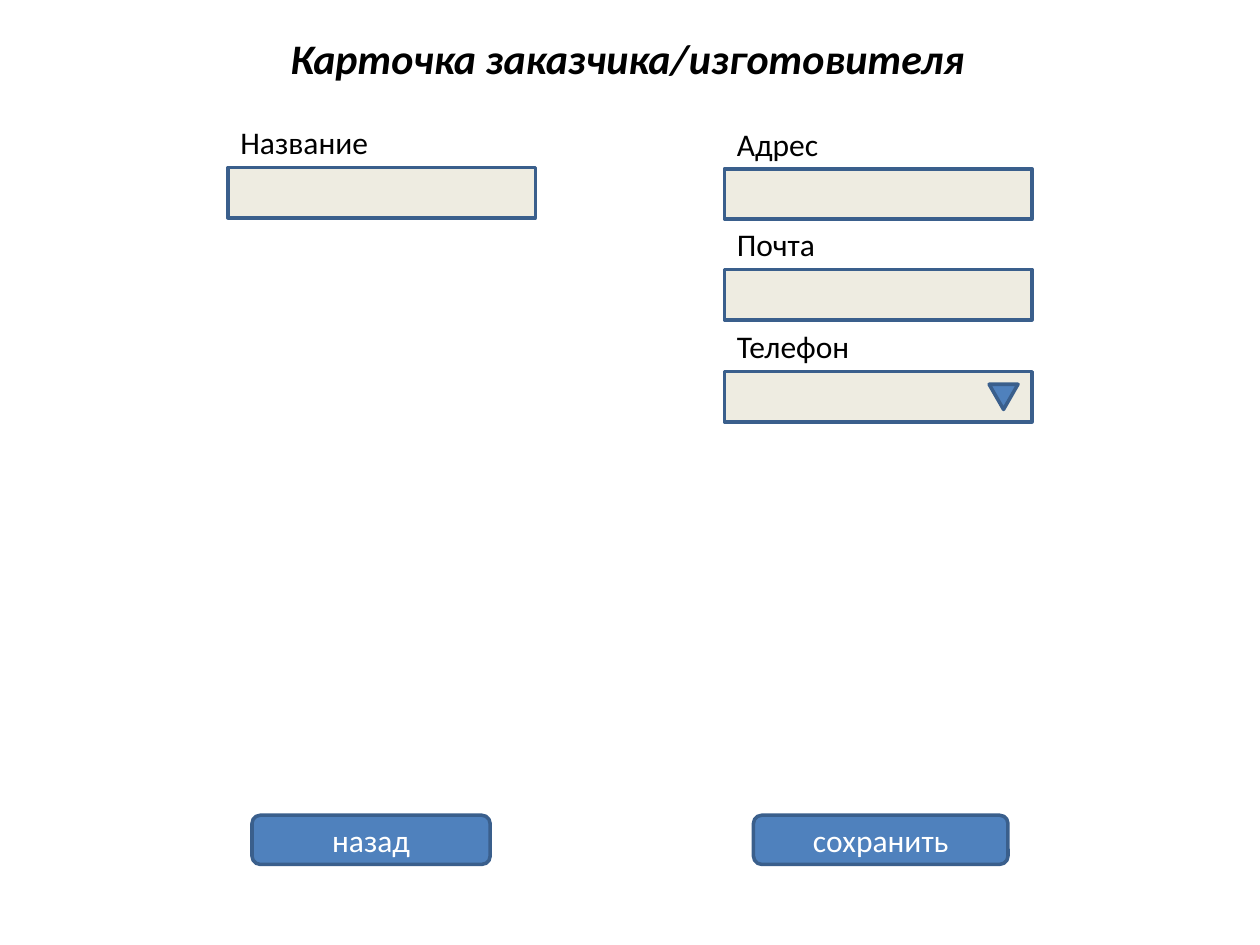
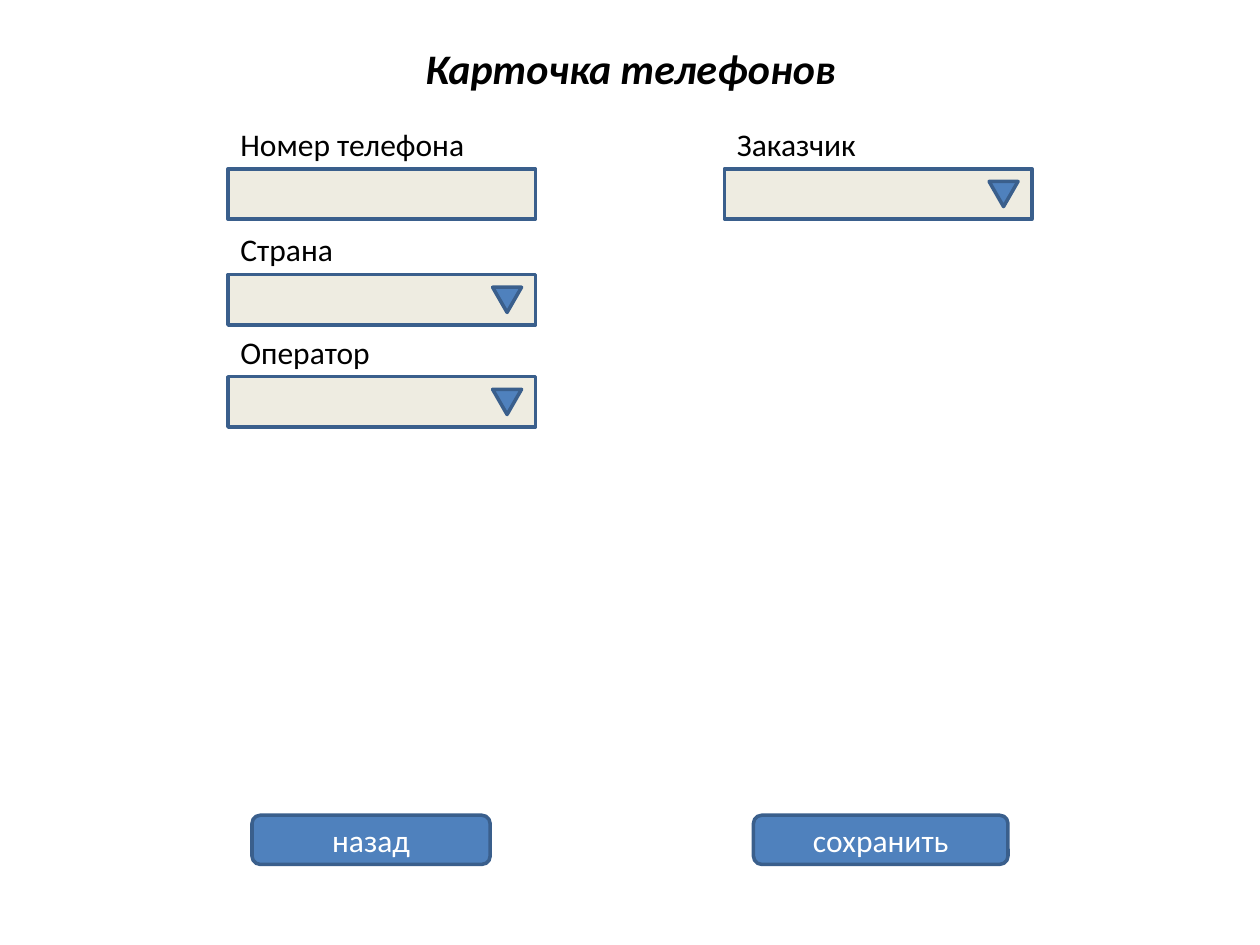
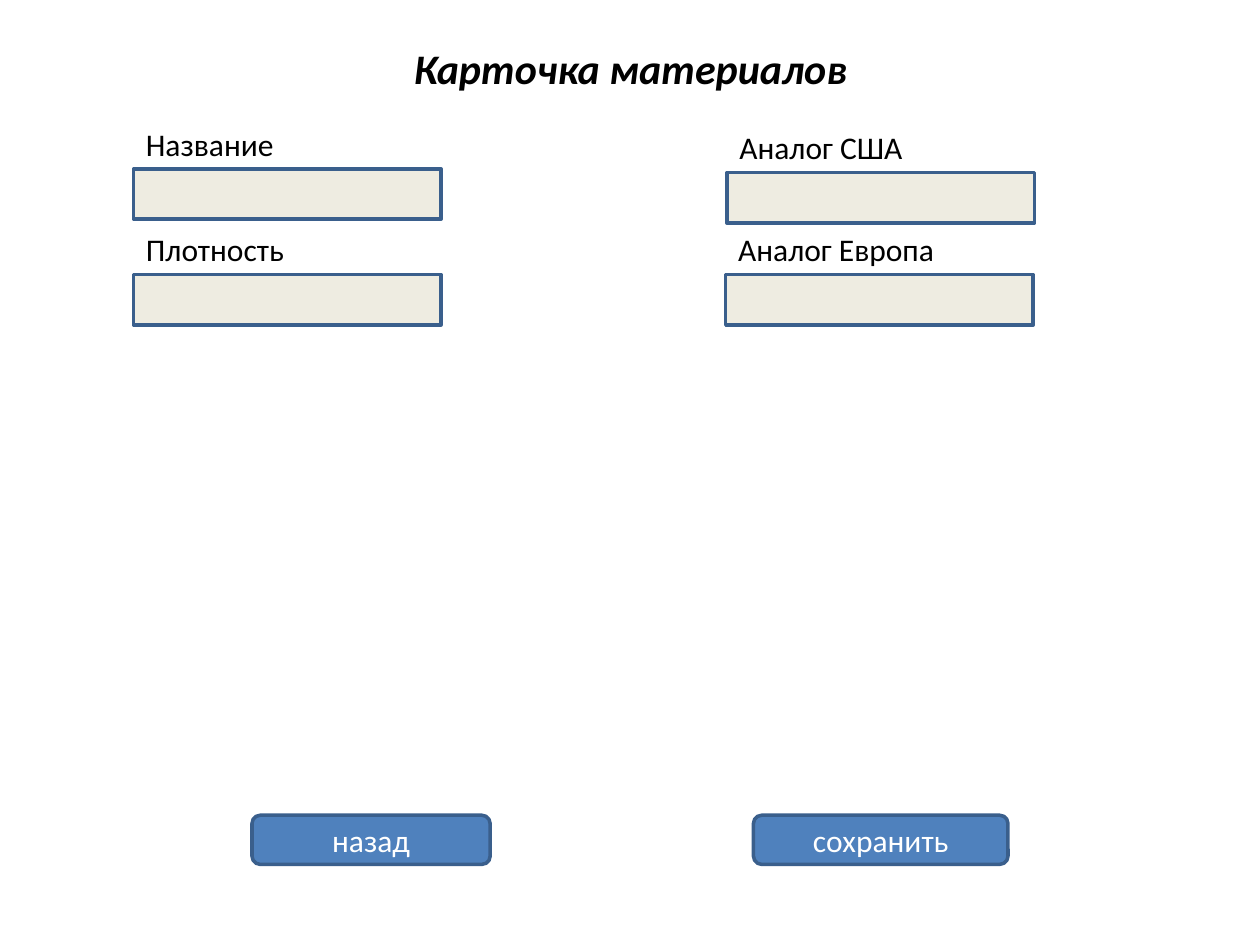
from pptx import Presentation
from pptx.dml.color import RGBColor
from pptx.enum.shapes import MSO_SHAPE as Shape
from pptx.enum.text import MSO_ANCHOR as Anchor, MSO_AUTO_SIZE as AutoSize, PP_ALIGN as Align
from pptx.util import Inches, Pt

# Grid: 100 columns by 75 rows on a 10 x 7.5 inch slide
COLUMNS, ROWS = 100, 75


def color(value):
    return RGBColor.from_string(value)


def write(box, text, size=18, ink="000000", font="Calibri", bold=False,
          italic=False, align=Align.LEFT, anchor=Anchor.TOP):
    frame = box.text_frame
    frame.vertical_anchor = anchor
    para = frame.paragraphs[0]
    para.alignment = align
    span = para.add_run()
    span.text = text
    span.font.name, span.font.size = font, Pt(size)
    span.font.bold, span.font.italic = bold, italic
    span.font.color.rgb = color(ink)


class FormDeck:
    """Style of the form cards and the slide being drawn."""
    field_fill, accent, outline, white = "EEECE1", "4F81BD", "3A5F8C", "FFFFFF"
    field_width, row_height = 24.4, 4
    button_row, button_height = 64.7, 3.9

    def __init__(self):
        self.deck = Presentation()
        self.deck.slide_width, self.deck.slide_height = Inches(10), Inches(7.5)
        self.page = None

    def place(self, column, row, width, height):
        across = self.deck.slide_width / COLUMNS
        down = self.deck.slide_height / ROWS
        return [round(n) for n in (column * across, row * down,
                                   width * across, height * down)]

    def add_page(self):
        self.page = self.deck.slides.add_slide(self.deck.slide_layouts[6])
        self.page.background.fill.solid()
        self.page.background.fill.fore_color.rgb = color(self.white)

    def text(self, column, row, width, height, words, **style):
        box = self.page.shapes.add_textbox(*self.place(column, row, width, height))
        box.text_frame.word_wrap = False
        box.text_frame.auto_size = AutoSize.SHAPE_TO_FIT_TEXT
        write(box, words, **style)

    def shape(self, kind, column, row, width, height, fill):
        box = self.page.shapes.add_shape(kind, *self.place(column, row, width, height))
        box.shadow.inherit = False
        box.fill.solid()
        box.fill.fore_color.rgb = color(fill)
        box.line.color.rgb = color(self.outline)
        box.line.width = Pt(2)
        return box

    def title(self, words, column, row, width):
        self.text(column, row, width, 5, words, size=24, bold=True,
                  italic=True, align=Align.CENTER)

    def field(self, label, column, row, label_width, dropdown=False):
        self.text(column, row, label_width, self.row_height, label)
        top = row + self.row_height
        self.shape(Shape.RECTANGLE, column, top, self.field_width,
                   self.row_height, self.field_fill)
        if dropdown:
            self.shape(Shape.FLOWCHART_MERGE, column + 21, top + 1, 2.3, 2, self.accent)

    def button(self, words, column, width):
        box = self.shape(Shape.ROUNDED_RECTANGLE, column, self.button_row,
                         width, self.button_height, self.accent)
        write(box, words, ink=self.white, align=Align.CENTER, anchor=Anchor.MIDDLE)


# Each card: title (words, column, row, width) and
# fields (label, column, row, label width, dropdown)
CARDS = [
    (("Карточка заказчика/изготовителя", 21.8, 2.1, 56), [
        ("Название", 18.1, 9.3, 12.3),
        ("Адрес", 57.5, 9.4, 8.5),
        ("Почта", 57.5, 17.4, 8.3),
        ("Телефон", 57.5, 25.5, 11.6, True),
    ]),
    (("Карточка телефонов", 32.6, 2.9, 34.9), [
        ("Номер телефона", 18.1, 9.4, 20),
        ("Заказчик", 57.5, 9.4, 12.2, True),
        ("Страна", 18.1, 17.8, 9.5, True),
        ("Оператор", 18.1, 25.9, 12.4, True),
    ]),
    (("Карточка материалов", 31.7, 2.9, 36.7), [
        ("Название", 10.6, 9.4, 12.3),
        ("Плотность", 10.6, 17.8, 13.1),
        ("Аналог США", 57.7, 9.7, 15.7),
        ("Аналог Европа", 57.6, 17.8, 18.9),
    ]),
]
BUTTONS = [("назад", 20, 18.9), ("сохранить", 59.8, 20.2)]


def main():
    form = FormDeck()
    for title, fields in CARDS:
        form.add_page()
        form.title(*title)
        for field in fields:
            form.field(*field)
        for button in BUTTONS:
            form.button(*button)
    form.deck.save("out.pptx")


if __name__ == "__main__":
    main()
